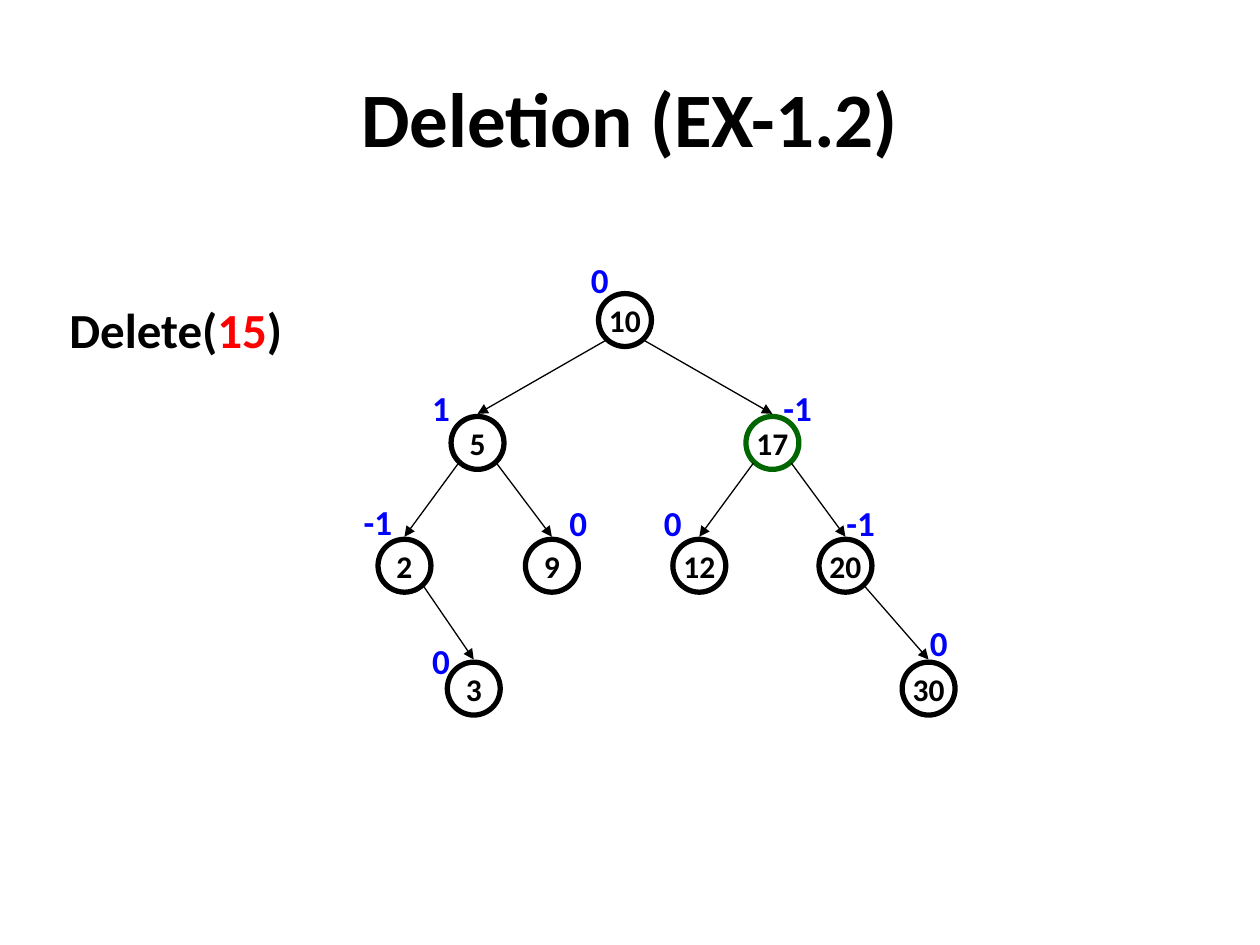
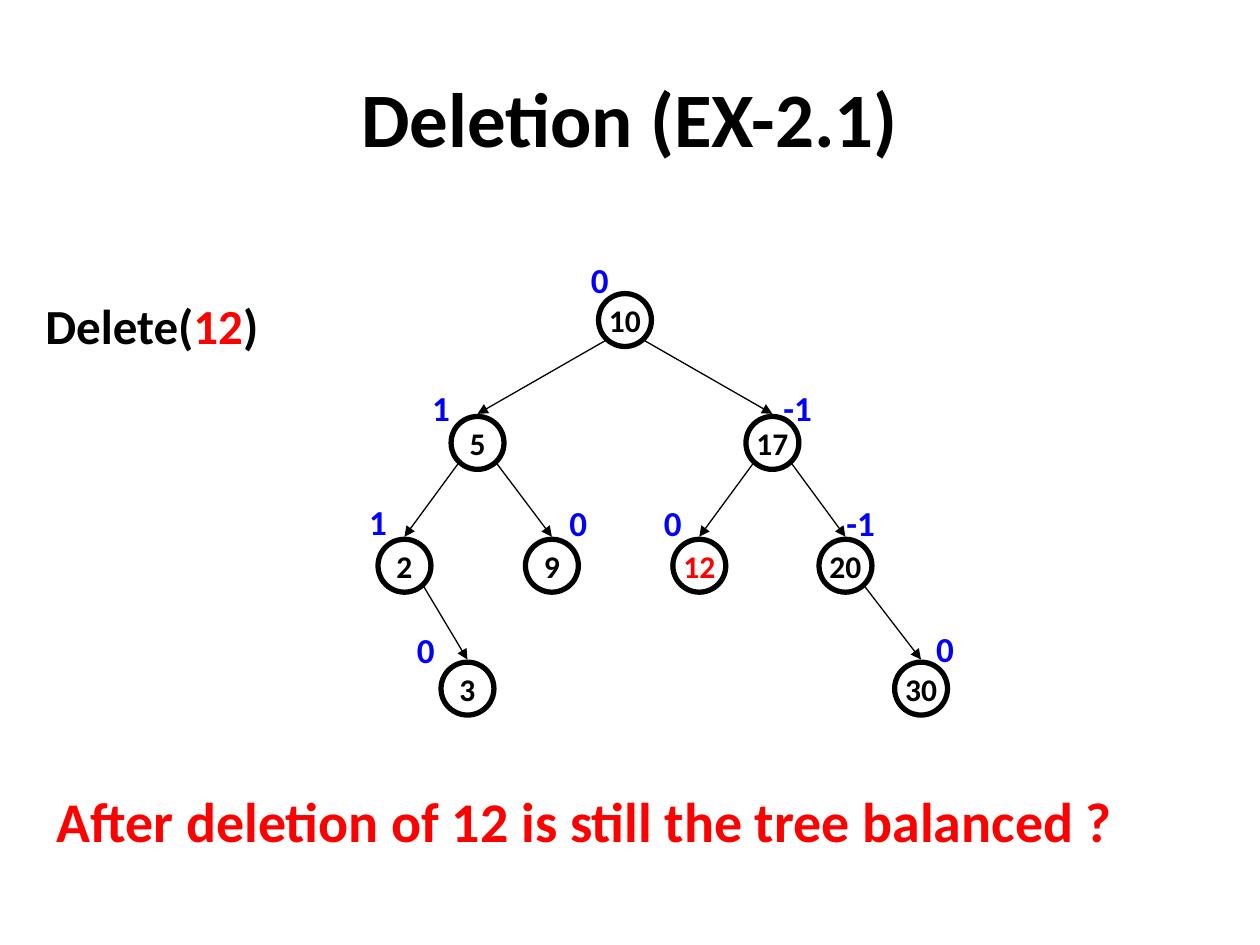
from lxml import etree
from pptx import Presentation
from pptx.dml.color import RGBColor
from pptx.enum import shapes, text
from pptx.oxml.ns import qn
from pptx.util import Inches, Pt

FONT = "Calibri"
COLORS = {"black": "000000", "red": "FF0000", "blue": "0000FF", "green": "006600"}

# Tree geometry in inches
NODE_SIZE = 0.42
ROOT_LEFT, ROOT_TOP = 4.75, 2.33
LEVEL_GAP = 0.975
EDGE_DX, EDGE_DY, EDGE_GAP = 0.15, 0.37, 0.02

# key: (offset from the root, level, parent, balance label centre, label top)
SHARED_NODES = {
    10: (0, 0, None, 4.76, 2.0),
    5: (-1.17, 1, 10, 3.5, 3.02),
    17: (1.17, 1, 10, 6.33, 3.02),
    2: (-1.75, 2, 5, 3.0, 3.92),
    9: (-0.58, 2, 5, 4.59, 3.93),
    12: (0.59, 2, 17, 5.34, 3.93),
    20: (1.75, 2, 17, 6.83, 3.93),
}
SHARED_BALANCE = {10: 0, 5: 1, 17: -1, 9: 0, 12: 0, 20: -1, 3: 0, 30: 0}


def rgb(name):
    return RGBColor.from_string(COLORS[name])


def style(p, size, color="black", align=text.PP_ALIGN.CENTER):
    p.alignment = align
    p.font.name, p.font.size, p.font.bold = FONT, Pt(size), True
    p.font.color.rgb = rgb(color)


def add_title(s, title):
    sp = s.shapes.title
    sp.left, sp.top, sp.width, sp.height = (Inches(v) for v in (0.5, 0.3, 9, 1.25))
    tf = sp.text_frame
    tf.text = title
    tf.vertical_anchor = text.MSO_ANCHOR.MIDDLE
    style(tf.paragraphs[0], 44)


def add_label(container, left, top, width, height, runs, size, color="black",
              align=text.PP_ALIGN.CENTER):
    """Place one line of text; each run is (text, colour or None)."""
    sp = container.add_textbox(*(Inches(v) for v in (left, top, width, height)))
    tf = sp.text_frame
    tf.word_wrap = False
    tf.auto_size = text.MSO_AUTO_SIZE.SHAPE_TO_FIT_TEXT
    p = tf.paragraphs[0]
    style(p, size, color, align)
    for words, run_color in runs:
        r = p.add_run()
        r.text = words
        if run_color:
            r.font.color.rgb = rgb(run_color)


def node_corner(node):
    return ROOT_LEFT + node[0], ROOT_TOP + LEVEL_GAP * node[1]


def add_node(s, key, node, line_color="black", text_color="black"):
    left, top = node_corner(node)
    sp = s.shapes.add_shape(shapes.MSO_SHAPE.OVAL, Inches(left), Inches(top),
                            Inches(NODE_SIZE), Inches(NODE_SIZE))
    sp.shadow.inherit = False
    sp.fill.background()
    sp.line.color.rgb = rgb(line_color)
    sp.line.width = Pt(3)
    tf = sp.text_frame
    tf.word_wrap = False
    tf.vertical_anchor = text.MSO_ANCHOR.MIDDLE
    tf.text = str(key)
    style(tf.paragraphs[0], 18, text_color)


def add_edge(s, parent, child):
    (px, py), (cx, cy) = node_corner(parent), node_corner(child)
    half = NODE_SIZE / 2
    side = EDGE_DX if cx > px else -EDGE_DX
    line = s.shapes.add_connector(
        shapes.MSO_CONNECTOR.STRAIGHT,
        Inches(px + half + side), Inches(py + EDGE_DY),
        Inches(cx + half), Inches(cy - EDGE_GAP))
    line.line.color.rgb = rgb("black")
    line.line.width = Pt(0.75)
    etree.SubElement(line.line._get_or_add_ln(), qn("a:tailEnd"), type="triangle")
    etree.SubElement(line._element.spPr, qn("a:effectLst"))


def add_tree(s, leaves, balance, line_colors, text_colors, group_labels):
    nodes = {**SHARED_NODES, **leaves}
    for key, node in nodes.items():
        add_node(s, key, node, line_colors.get(key, "black"),
                 text_colors.get(key, "black"))
        if node[2] is not None:
            add_edge(s, nodes[node[2]], node)
    # Balance factors beside the nodes
    container = s.shapes.add_group_shape().shapes if group_labels else s.shapes
    for key, value in {**SHARED_BALANCE, **balance}.items():
        center, top = nodes[key][3:]
        width = 0.43 if value < 0 else 0.34
        add_label(container, center - width / 2, top, width, 0.44,
                  [(str(value), None)], 20, "blue")


def add_delete_call(s, left, top, key):
    add_label(s.shapes, left, top, 1.91, 0.57,
              [("Delete(", None), (str(key), "red"), (")", None)], 28)


def new_slide(prs, title):
    s = prs.slides.add_slide(prs.slide_layouts[5])
    add_title(s, title)
    return s


def main():
    prs = Presentation()
    prs.slide_width, prs.slide_height = Inches(10), Inches(7.5)

    # Tree after 15 is gone, with its replacement outlined in green
    s = new_slide(prs, "Deletion (EX-1.2)")
    leaves = {3: (-1.2, 3, 2, 3.5, 5.03), 30: (2.41, 3, 20, 7.45, 4.88)}
    add_tree(s, leaves, {2: -1}, {17: "green"}, {}, False)
    add_delete_call(s, 0.44, 2.33, 15)

    # Tree before 12 is removed
    s = new_slide(prs, "Deletion (EX-2.1)")
    leaves = {3: (-1.25, 3, 2, 3.38, 4.94), 30: (2.35, 3, 20, 7.5, 4.93)}
    add_tree(s, leaves, {2: 1}, {}, {12: "red"}, True)
    add_delete_call(s, 0.25, 2.3, 12)
    add_label(s.shapes, 0.35, 6.19, 8.79, 0.64,
              [("After deletion of 12 is still the tree balanced ?", None)],
              32, "red", text.PP_ALIGN.LEFT)

    prs.save("out.pptx")


main()
